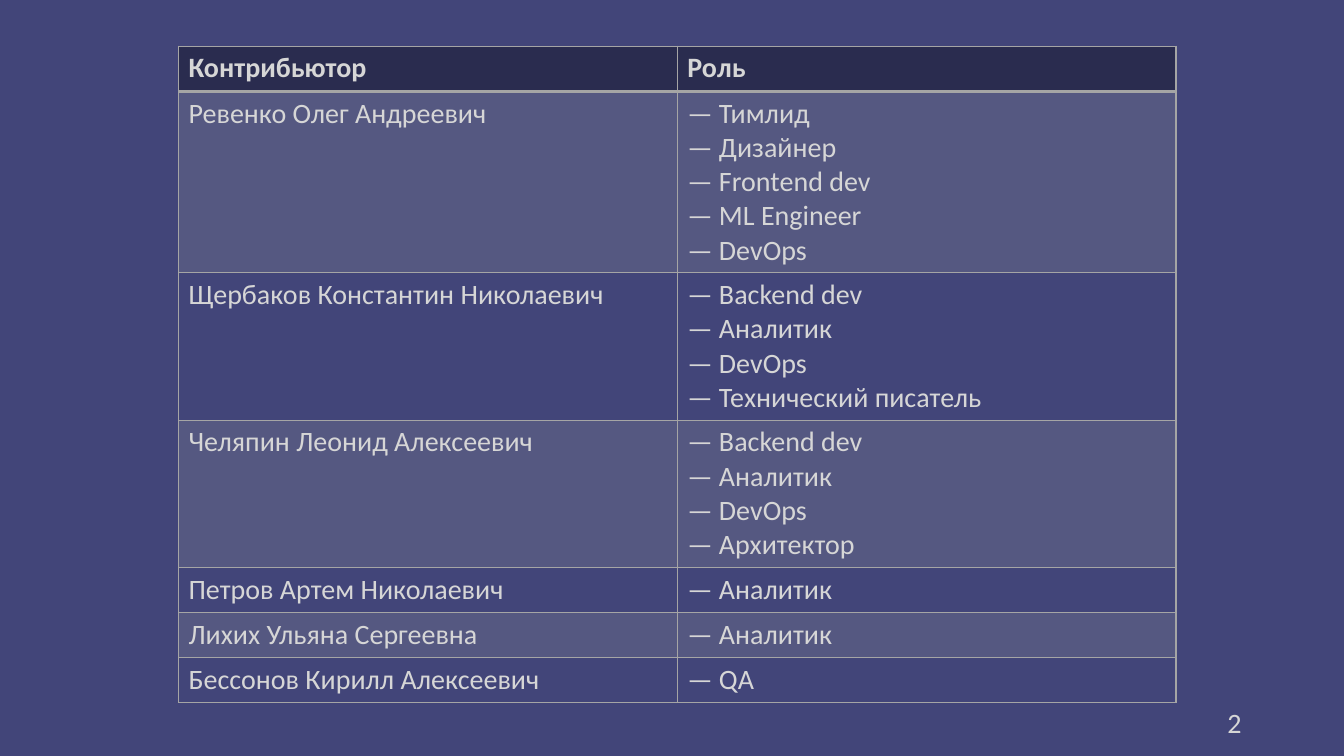
from pptx import Presentation
from pptx import util as u
from pptx.dml.color import RGBColor
from pptx.enum import text
from pptx.oxml import parse_xml
from pptx.oxml.ns import nsdecls, qn
from lxml import etree

BACKGROUND = RGBColor(0x42, 0x45, 0x79)
HEADER = RGBColor(0x2A, 0x2C, 0x4F)
GREY = RGBColor(0xA5, 0xA5, 0xA5)
TEXT = RGBColor(0xD6, 0xD6, 0xD6)

COLUMN_WIDTH = 475
ROW_HEIGHT = 43
LINE_HEIGHT = 32.3

TEAM = [
    ("Ревенко Олег Андреевич",
     ["Тимлид", "Дизайнер", "Frontend dev", "ML Engineer", "DevOps"]),
    ("Щербаков Константин Николаевич",
     ["Backend dev", "Аналитик", "DevOps", "Технический писатель"]),
    ("Челяпин Леонид Алексеевич",
     ["Backend dev", "Аналитик", "DevOps", "Архитектор"]),
    ("Петров Артем Николаевич", ["Аналитик"]),
    ("Лихих Ульяна Сергеевна", ["Аналитик"]),
    ("Бессонов Кирилл Алексеевич", ["QA"]),
]


def px(n):
    return u.Emu(n * 9525)


def write(tf, lines, bold=False, align=text.PP_ALIGN.LEFT):
    for i, line in enumerate(lines):
        p = tf.add_paragraph() if i else tf.paragraphs[0]
        p.text = line
        p.alignment = align
        p.font.name = "Calibri"
        p.font.size = u.Pt(20)
        p.font.bold = bold
        p.font.color.rgb = TEXT


def set_borders(cell, bottom):
    """Draw 1 pt grey borders, with the bottom one `bottom` pt wide."""
    tc_pr = cell._tc.get_or_add_tcPr()
    for side, width in zip("LRTB", (1, 1, 1, bottom)):
        tc_pr.append(parse_xml(
            f'<a:ln{side} {nsdecls("a")} w="{u.Pt(width)}"><a:solidFill>'
            f'<a:srgbClr val="{GREY}"/></a:solidFill></a:ln{side}>'))


def set_fill(cell, color, opacity=100):
    cell.fill.solid()
    cell.fill.fore_color.rgb = color
    if opacity < 100:
        clr = cell._tc.tcPr.find(qn("a:solidFill"))[0]
        etree.SubElement(clr, qn("a:alpha")).set("val", str(opacity * 1000))


def add_team_table(s, left, top):
    rows = [("Контрибьютор", ["Роль"])]
    rows += [(name, [f"— {role}" for role in roles]) for name, roles in TEAM]
    heights = [ROW_HEIGHT + round(LINE_HEIGHT * (len(roles) - 1))
               for _, roles in rows]
    table = s.shapes.add_table(len(rows), 2, px(left), px(top),
                               px(2 * COLUMN_WIDTH), px(sum(heights))).table
    table.first_row = table.horz_banding = False
    for column in table.columns:
        column.width = px(COLUMN_WIDTH)
    for i, (name, roles) in enumerate(rows):
        table.rows[i].height = px(heights[i])
        for cell, lines in zip(table.rows[i].cells, ([name], roles)):
            write(cell.text_frame, lines, bold=i == 0)
            set_borders(cell, bottom=2 if i == 0 else 1)
            if i == 0:
                set_fill(cell, HEADER)
            elif i % 2:
                set_fill(cell, GREY, opacity=20)
            else:
                cell.fill.background()


def add_page_number(s, number, left, top, width, height):
    tf = s.shapes.add_textbox(px(left), px(top), px(width), px(height)).text_frame
    tf.word_wrap = True
    tf.vertical_anchor = text.MSO_ANCHOR.MIDDLE
    write(tf, [number], align=text.PP_ALIGN.RIGHT)


def main():
    prs = Presentation()
    prs.slide_width, prs.slide_height = px(1280), px(720)
    s = prs.slides.add_slide(prs.slide_layouts[6])
    s.background.fill.solid()
    s.background.fill.fore_color.rgb = BACKGROUND
    add_team_table(s, 170, 44)
    add_page_number(s, "2", 904, 669, 288, 38)
    prs.save("out.pptx")


if __name__ == "__main__":
    main()
